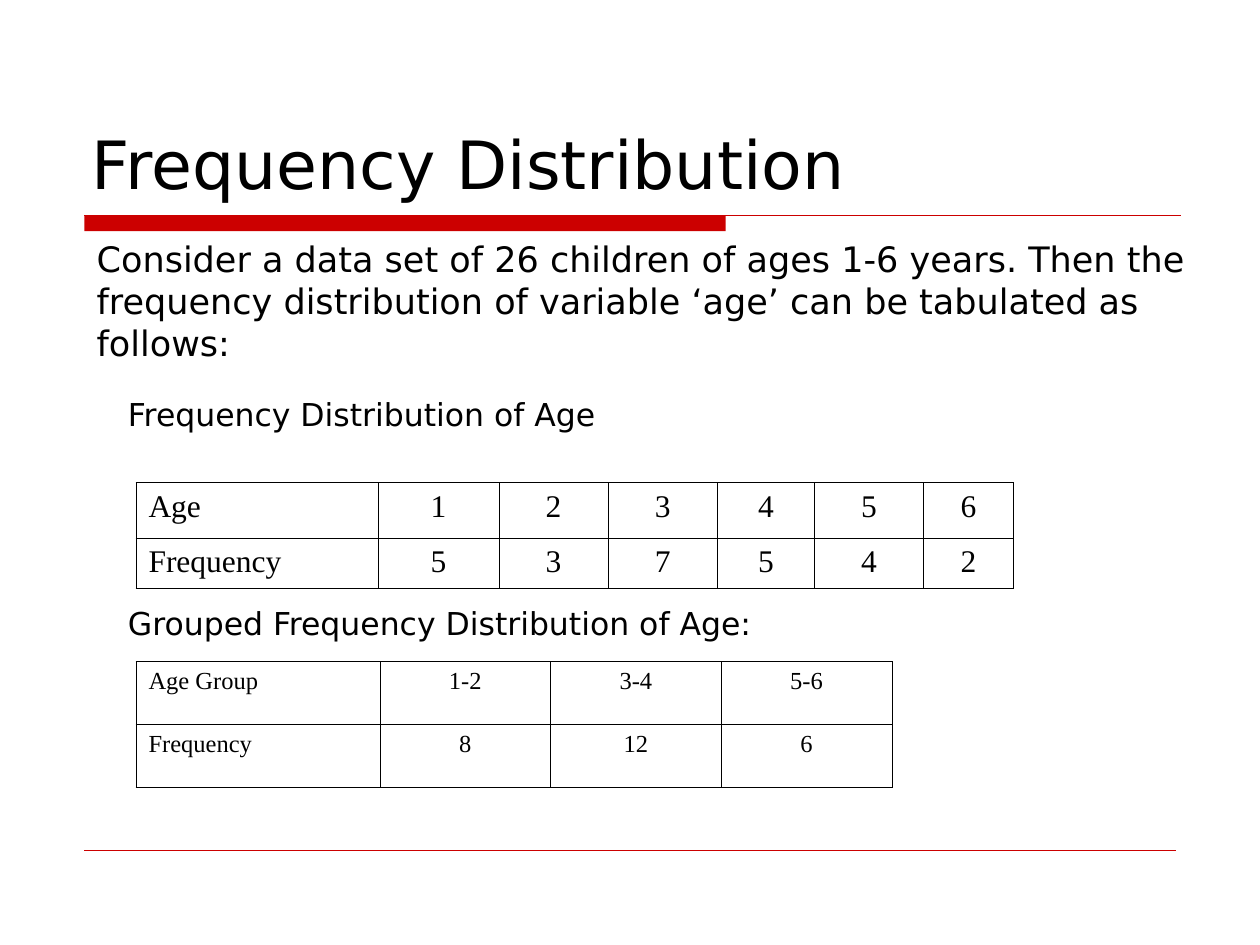
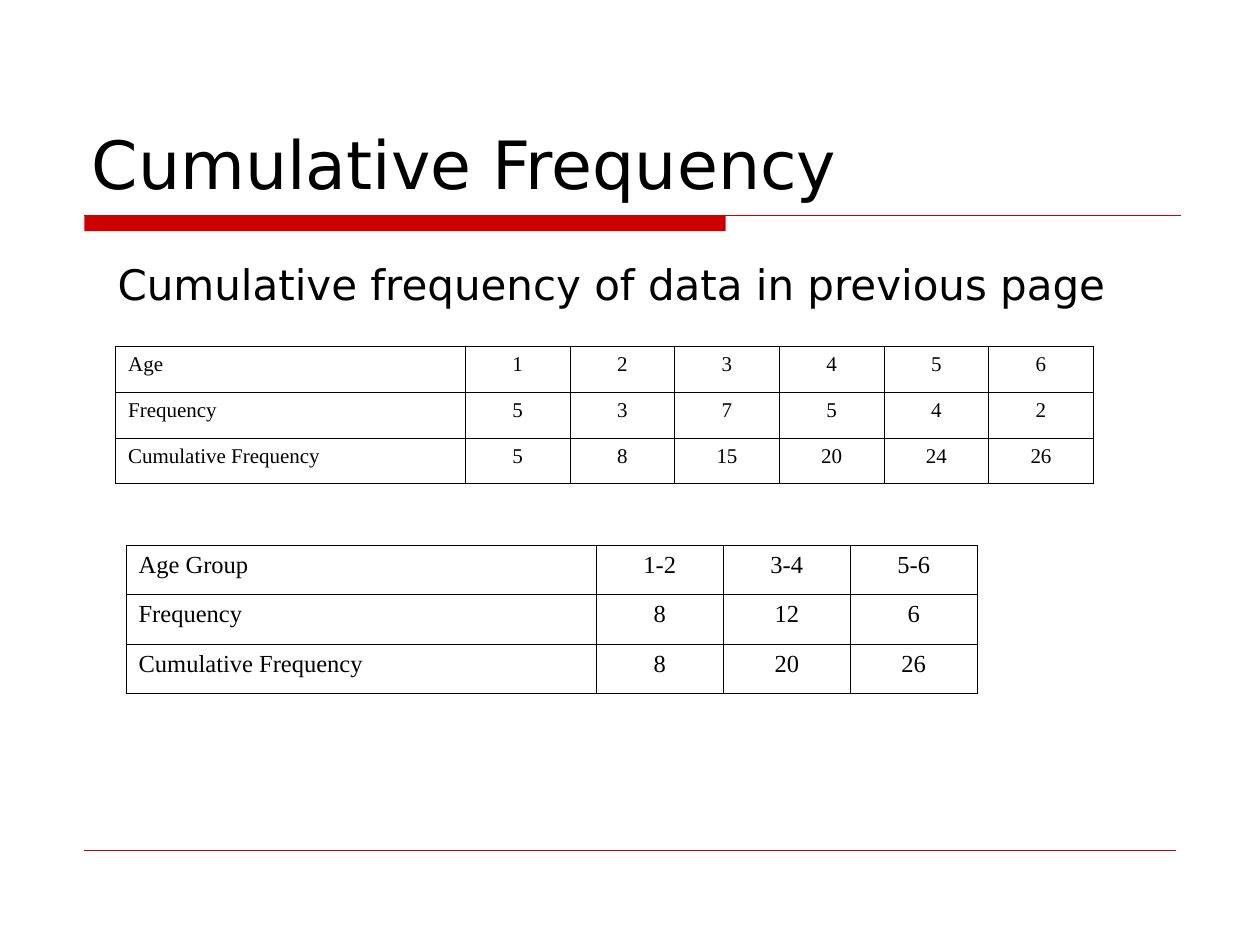
from itertools import accumulate

from lxml.etree import SubElement
from pptx import Presentation
from pptx.dml.color import RGBColor
from pptx.enum.shapes import MSO_CONNECTOR, MSO_SHAPE
from pptx.enum.text import MSO_ANCHOR, MSO_AUTO_SIZE, PP_ALIGN
from pptx.oxml import parse_xml
from pptx.oxml.ns import nsdecls, qn
from pptx.util import Cm, Pt

# Shared style
RED, BLACK = "CC0000", "000000"
SANS, SERIF = "DejaVu Sans", "Times New Roman"
TITLE_PLACE = (1.6, 0.84, 22.23, 3.38)
BAND_PLACE = (1.7, 4.34, 12.93, 0.32)
RULES = [(1.7, 23.8, 4.34, 0.75), (1.7, 23.7, 17.15, 0.25)]  # left, right, y, points
BORDER_WIDTH = Pt(0.45)

# Data: label row and frequencies, used on both slides
AGES = ["Age", 1, 2, 3, 4, 5, 6]
AGE_COUNTS = [5, 3, 7, 5, 4, 2]
GROUPS = ["Age Group", "1-2", "3-4", "5-6"]
GROUP_COUNTS = [8, 12, 6]


def frequency_rows(header, counts, cumulative=False):
    rows = [header, ["Frequency", *counts]]
    if cumulative:
        rows.append(["Cumulative Frequency", *accumulate(counts)])
    return rows


# Content: texts are (place, size, wording); lengths in centimetres
SLIDES = [
    {
        "title": "Frequency Distribution",
        "texts": [
            ((1.7, 4.66, 23.7, 1.96), 20,
             "Consider a data set of 26 children of ages 1-6 years. Then the "
             "frequency distribution of variable ‘age’ can be tabulated as follows:"),
            ((2.33, 7.83, 10.6, 1.02), 18, "Frequency Distribution of Age"),
            ((2.33, 12.06, 20.96, 1.02), 18, "Grouped Frequency Distribution of Age:"),
        ],
        "tables": [
            {"at": (2.74, 9.73), "size": 18, "heights": [1.12, 1.02],
             "widths": [4.88, 2.44, 2.2, 2.2, 1.96, 2.2, 1.81],
             "rows": frequency_rows(AGES, AGE_COUNTS)},
            {"at": (2.74, 13.34), "size": 14, "heights": [1.27] * 2,
             "widths": [4.92] + [3.44] * 3,
             "rows": frequency_rows(GROUPS, GROUP_COUNTS)},
        ],
    },
    {
        "title": "Cumulative Frequency",
        "texts": [
            ((2.12, 5.08, 22.01, 1.27), 24,
             "Cumulative frequency of data in previous page"),
        ],
        "tables": [
            {"at": (2.33, 6.99), "size": 12, "heights": [0.92] * 3,
             "widths": [7.05] + [2.11] * 6,
             "rows": frequency_rows(AGES, AGE_COUNTS, cumulative=True)},
            {"at": (2.54, 11), "size": 14, "heights": [0.99] * 3,
             "widths": [9.48] + [2.56] * 3,
             "rows": frequency_rows(GROUPS, GROUP_COUNTS, cumulative=True)},
        ],
    },
]


def color(hex_value):
    return RGBColor.from_string(hex_value)


def lengths(values):
    return [Cm(value) for value in values]


def add_span(para, text, size, font, align=PP_ALIGN.LEFT):
    para.alignment = align
    span = para.add_run()
    span.text = str(text)
    span.font.size = Pt(size)
    span.font.name = font
    span.font.bold = False
    span.font.color.rgb = color(BLACK)


def add_frame(page):
    # Red band under the title, with thin rules at top and bottom
    band = page.shapes.add_shape(MSO_SHAPE.RECTANGLE, *lengths(BAND_PLACE))
    band.shadow.inherit = False
    band.fill.solid()
    band.fill.fore_color.rgb = color(RED)
    band.line.fill.background()
    for left, right, y, points in RULES:
        rule = page.shapes.add_connector(
            MSO_CONNECTOR.STRAIGHT, *lengths((left, y, right, y)))
        rule.line.color.rgb = color(RED)
        rule.line.width = Pt(points)
        SubElement(rule._element.spPr, qn("a:effectLst"))


def add_title(page, text):
    title = page.shapes.title
    title.left, title.top, title.width, title.height = lengths(TITLE_PLACE)
    frame = title.text_frame
    frame.auto_size = MSO_AUTO_SIZE.NONE
    frame.vertical_anchor = MSO_ANCHOR.BOTTOM
    add_span(frame.paragraphs[0], text, 38, SANS)


def add_text(page, place, size, text):
    box = page.shapes.add_textbox(*lengths(place))
    box.text_frame.word_wrap = True
    add_span(box.text_frame.paragraphs[0], text, size, SANS)


def set_borders(cell):
    properties = cell._tc.get_or_add_tcPr()
    for index, side in enumerate(("lnL", "lnR", "lnT", "lnB")):
        properties.insert(index, parse_xml(
            f'<a:{side} {nsdecls("a")} w="{BORDER_WIDTH}"><a:solidFill>'
            f'<a:srgbClr val="{BLACK}"/></a:solidFill></a:{side}>'))


def add_frequency_table(page, at, size, widths, heights, rows):
    table = page.shapes.add_table(
        len(rows), len(widths), *lengths((*at, sum(widths), sum(heights)))).table
    table.first_row = table.horz_banding = False
    for column, width in zip(table.columns, widths):
        column.width = Cm(width)
    for row, height, values in zip(table.rows, heights, rows):
        row.height = Cm(height)
        for index, (cell, value) in enumerate(zip(row.cells, values)):
            cell.fill.background()
            set_borders(cell)
            align = PP_ALIGN.CENTER if index else PP_ALIGN.LEFT
            add_span(cell.text_frame.paragraphs[0], value, size, SERIF, align)


def main():
    deck = Presentation()
    deck.slide_width, deck.slide_height = lengths((25.4, 19.05))
    title_only = deck.slide_layouts[5]
    for content in SLIDES:
        page = deck.slides.add_slide(title_only)
        add_frame(page)
        add_title(page, content["title"])
        for place, size, text in content["texts"]:
            add_text(page, place, size, text)
        for table in content["tables"]:
            add_frequency_table(page, **table)
    deck.save("out.pptx")


if __name__ == "__main__":
    main()
